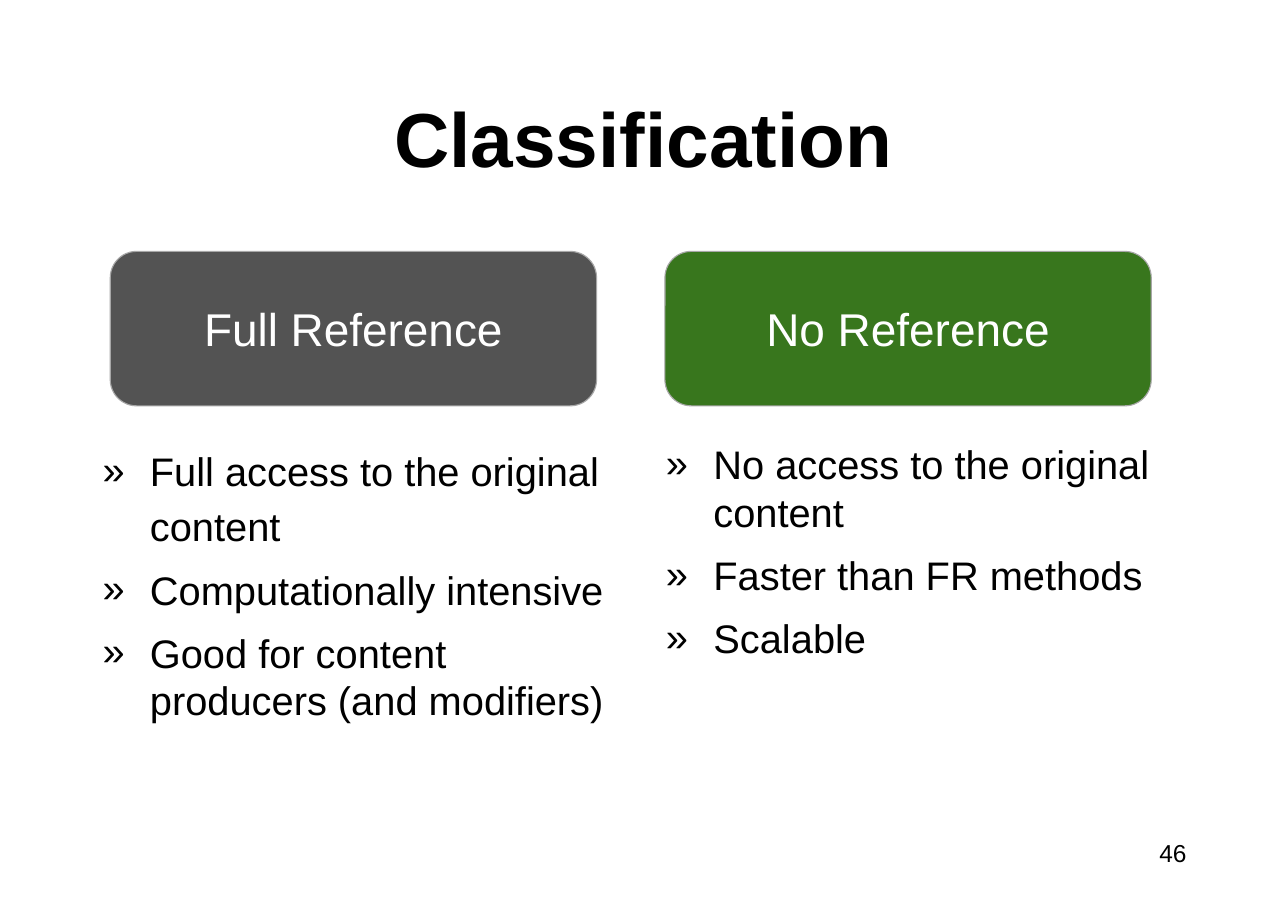
from dataclasses import dataclass

from lxml import etree
from pptx import Presentation
from pptx import util as u
from pptx.dml.color import RGBColor
from pptx.enum import shapes, text
from pptx.oxml.ns import qn

PX = 9144  # EMU per px, at 100 px to the inch
FONT = "Arial"
BLACK = RGBColor(0x00, 0x00, 0x00)
WHITE = RGBColor(0xFF, 0xFF, 0xFF)
GRAY = RGBColor(0x53, 0x53, 0x53)
GREEN = RGBColor(0x38, 0x76, 0x1D)
OUTLINE = RGBColor(0xA7, 0xA7, 0xA7)

HEADER_TOP, HEADER_WIDTH, HEADER_HEIGHT = 228, 441, 140
LIST_TOP, LIST_HEIGHT = 393, 353
TEXT_INDENT, BULLET_HANG = 50, 43


@dataclass(frozen=True)
class Box:
    left: int
    top: int
    width: int
    height: int

    def emu(self) -> tuple[int, int, int, int]:
        return self.left * PX, self.top * PX, self.width * PX, self.height * PX


@dataclass(frozen=True)
class Method:
    name: str
    color: RGBColor
    header_left: int
    list_left: int
    list_width: int
    points: tuple[str, ...]
    first_spacing: float


METHODS = (
    Method("Full Reference", GRAY, 100, 80, 494,
           ("Full access to the original content",
            "Computationally intensive",
            "Good for content producers (and modifiers)"), 1.15),
    Method("No Reference", GREEN, 603, 591, 497,
           ("No access to the original content",
            "Faster than FR methods",
            "Scalable"), 1.0),
)


def add_bullet(paragraph) -> None:
    properties = paragraph._p.get_or_add_pPr()
    properties.set("marL", str(TEXT_INDENT * PX))
    properties.set("indent", str(-BULLET_HANG * PX))
    color = etree.SubElement(properties, qn("a:buClr"))
    etree.SubElement(color, qn("a:srgbClr"), val=str(BLACK))
    etree.SubElement(properties, qn("a:buFont"), typeface=FONT)
    etree.SubElement(properties, qn("a:buChar"), char="»")


def write(shape, *lines: str, size: int, color: RGBColor = BLACK,
          bold: bool = False, align=text.PP_ALIGN.LEFT,
          anchor=text.MSO_ANCHOR.TOP, inset: int = 6, bullets: bool = False,
          space_before: int = 0, first_spacing: float = 1.0) -> None:
    """Fill a shape with one paragraph per line, all in one format."""
    frame = shape.text_frame
    frame.word_wrap = True
    frame.auto_size = text.MSO_AUTO_SIZE.NONE
    frame.vertical_anchor = anchor
    frame.margin_left = frame.margin_right = inset * PX
    frame.margin_top = frame.margin_bottom = inset * PX
    for index, line in enumerate(lines):
        paragraph = frame.add_paragraph() if index else frame.paragraphs[0]
        if bullets:
            add_bullet(paragraph)
        paragraph.alignment = align
        paragraph.line_spacing = 1.0 if index else first_spacing
        paragraph.space_before = u.Pt(space_before if index else 0)
        run = paragraph.add_run()
        run.text = line
        run.font.name = FONT
        run.font.size = u.Pt(size)
        run.font.bold = bold
        run.font.color.rgb = color


def add_title(slide, title: str, box: Box) -> None:
    shape = slide.shapes.title
    shape.left, shape.top, shape.width, shape.height = box.emu()
    write(shape, title, size=50, bold=True, align=text.PP_ALIGN.CENTER,
          anchor=text.MSO_ANCHOR.MIDDLE)


def add_header(slide, method: Method) -> None:
    box = Box(method.header_left, HEADER_TOP, HEADER_WIDTH, HEADER_HEIGHT)
    shape = slide.shapes.add_shape(
        shapes.MSO_SHAPE.ROUNDED_RECTANGLE, *box.emu())
    shape.shadow.inherit = False
    shape.adjustments[0] = 0.17
    shape.fill.solid()
    shape.fill.fore_color.rgb = method.color
    shape.line.color.rgb = OUTLINE
    shape.line.width = u.Pt(0.75)
    write(shape, method.name, size=30, color=WHITE, inset=10,
          align=text.PP_ALIGN.CENTER, anchor=text.MSO_ANCHOR.MIDDLE)


def add_points(slide, method: Method) -> None:
    box = Box(method.list_left, LIST_TOP, method.list_width, LIST_HEIGHT)
    write(slide.shapes.add_textbox(*box.emu()), *method.points, size=26,
          bullets=True, space_before=10, first_spacing=method.first_spacing)


def main() -> None:
    presentation = Presentation()
    presentation.slide_width = 1168 * PX
    presentation.slide_height = 826 * PX
    title_only = presentation.slide_layouts.get_by_name("Title Only")
    slide = presentation.slides.add_slide(title_only)

    add_title(slide, "Classification", Box(80, 44, 1007, 160))
    for method in METHODS:
        add_header(slide, method)
        add_points(slide, method)
    page_number = slide.shapes.add_textbox(*Box(1044, 754, 38, 36).emu())
    write(page_number, "46", size=16, align=text.PP_ALIGN.RIGHT)

    presentation.save("out.pptx")


if __name__ == "__main__":
    main()
